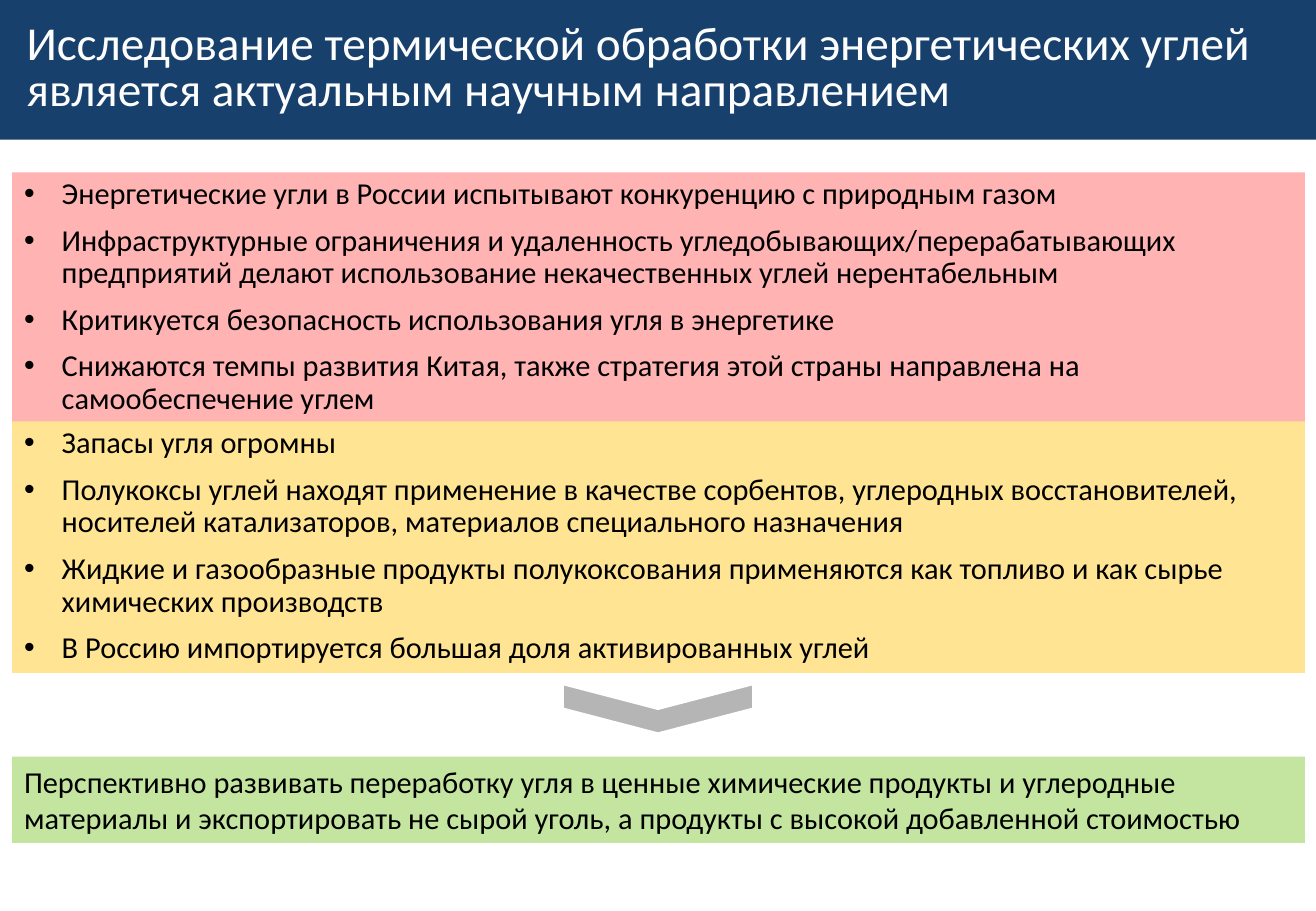
from lxml.etree import SubElement as Sub
from pptx import Presentation
from pptx.dml.color import RGBColor
from pptx.enum.shapes import MSO_SHAPE as Shape
from pptx.enum.text import MSO_ANCHOR as Anchor, MSO_AUTO_SIZE as Auto, PP_ALIGN as Align
from pptx.oxml.ns import qn
from pptx.util import Inches, Pt

NAVY = RGBColor(0x17, 0x40, 0x6D)
PALE = RGBColor(0xFD, 0xFD, 0xFD)
PINK = RGBColor(0xFF, 0xB3, 0xB3)
GOLD = RGBColor(0xFF, 0xE5, 0x93)
GREEN = RGBColor(0xC4, 0xE5, 0x9F)
GRAY = RGBColor(0xB5, 0xB5, 0xB5)
WHITE = RGBColor(0xFF, 0xFF, 0xFF)
BLACK = RGBColor(0, 0, 0)

WIDE, HIGH = 10.83, 7.5
LEFT, SPAN = 0.1, 10.64

TITLE = "Исследование термической обработки энергетических углей является актуальным научным направлением"
RISKS = [
    "Энергетические угли в России испытывают конкуренцию с природным газом",
    "Инфраструктурные ограничения и удаленность угледобывающих/перерабатывающих предприятий делают использование некачественных углей нерентабельным",
    "Критикуется безопасность использования угля в энергетике",
    "Снижаются темпы развития Китая, также стратегия этой страны направлена на самообеспечение углем",
]
GAINS = [
    "Запасы угля огромны",
    "Полукоксы углей находят применение в качестве сорбентов, углеродных восстановителей, носителей катализаторов, материалов специального назначения",
    "Жидкие и газообразные продукты полукоксования применяются как топливо и как сырье химических производств",
    "В Россию импортируется большая доля активированных углей",
]
RESULT = "Перспективно развивать переработку угля в ценные химические продукты и углеродные материалы и экспортировать не сырой уголь, а продукты с высокой добавленной стоимостью"


def paint(shape, color):
    """Fill a shape with one solid colour."""
    shape.fill.solid()
    shape.fill.fore_color.rgb = color


def write(para, text, size, color):
    """Add a left-aligned run to a paragraph."""
    para.alignment = Align.LEFT
    run = para.add_run()
    run.text = text
    run.font.name = "Calibri"
    run.font.size = Pt(size)
    run.font.color.rgb = color


def indent(para, left, first=0):
    """Set the left margin and first-line indent of a paragraph."""
    props = para._p.get_or_add_pPr()
    props.set("marL", str(Inches(left)))
    props.set("indent", str(Inches(first)))
    return props


def bullet(para):
    """Give a paragraph a hanging bullet and list spacing."""
    para.line_spacing = 0.9
    para.space_before = Pt(8.1)
    props = indent(para, 0.31, -0.31)
    Sub(props, qn("a:buFont"), typeface="Arial")
    Sub(props, qn("a:buChar"), char="•")


def header(slide, box):
    """Place the title as a full-width band."""
    title = slide.shapes.title
    title.left, title.top, title.width, title.height = map(Inches, box)
    paint(title, NAVY)
    frame = title.text_frame
    frame.word_wrap = True
    frame.auto_size = Auto.NONE
    frame.vertical_anchor = Anchor.MIDDLE
    para = frame.paragraphs[0]
    write(para, TITLE, 28, PALE)
    para.line_spacing = 0.8
    indent(para, 0.12)


def panel(slide, box, color, lines, listed=True):
    """Place a coloured text panel, bulleted when listed."""
    area = slide.shapes.add_textbox(*map(Inches, box))
    paint(area, color)
    frame = area.text_frame
    frame.word_wrap = True
    for num, line in enumerate(lines):
        para = frame.add_paragraph() if num else frame.paragraphs[0]
        write(para, line, 18, BLACK)
        if listed:
            bullet(para)


def arrow(slide, box):
    """Place a chevron turned to point down."""
    mark = slide.shapes.add_shape(Shape.CHEVRON, *map(Inches, box))
    mark.rotation = 90
    mark.shadow.inherit = False
    paint(mark, GRAY)
    mark.line.color.rgb = WHITE
    mark.line.width = Pt(1.5)


def main():
    """Build and save the slide."""
    deck = Presentation()
    deck.slide_width, deck.slide_height = Inches(WIDE), Inches(HIGH)
    slide = deck.slides.add_slide(deck.slide_layouts[5])
    header(slide, (0, 0, WIDE, 1.15))
    panel(slide, (LEFT, 1.42, SPAN, 2.06), PINK, RISKS)
    arrow(slide, (5.21, 5.05, 0.41, 1.57))
    panel(slide, (LEFT, 3.47, SPAN, 2.07), GOLD, GAINS)
    panel(slide, (LEFT, 6.23, SPAN, 0.71), GREEN, [RESULT], listed=False)
    deck.save("out.pptx")


if __name__ == "__main__":
    main()
